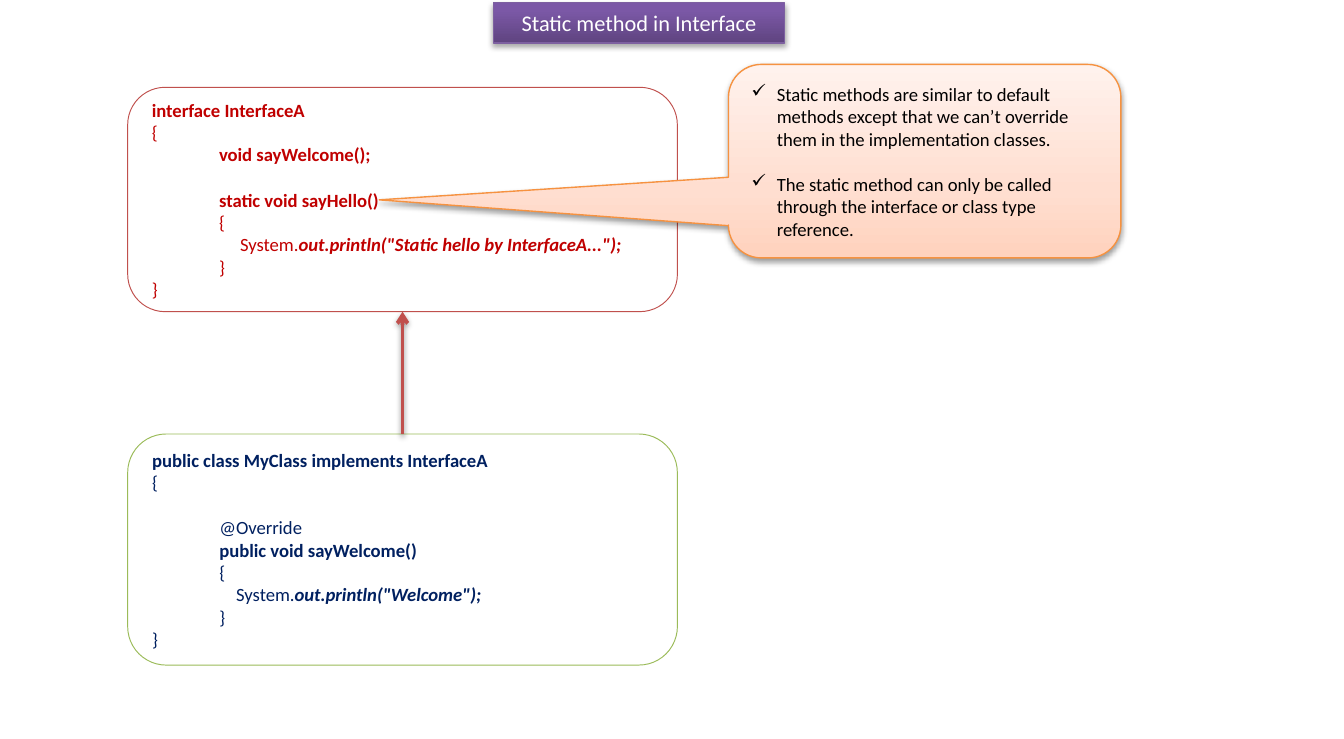
import lxml.etree
import pptx
import pptx.dml.color
import pptx.enum.shapes
import pptx.enum.text
import pptx.oxml.ns
import pptx.util

Inches, Pt = pptx.util.Inches, pptx.util.Pt
SHAPE = pptx.enum.shapes.MSO_SHAPE
ALIGN = pptx.enum.text.PP_ALIGN
ANCHOR = pptx.enum.text.MSO_ANCHOR
qn = pptx.oxml.ns.qn

# Content: code lines are (indent level, line skipped above, runs of (text, style))
TITLE = "Static method in Interface"
INTERFACE_CODE = [
    (0, False, [("interface InterfaceA", "b")]),
    (0, False, [("{", "")]),
    (1, False, [("void sayWelcome();", "b")]),
    (1, True, [("static void sayHello()", "b")]),
    (1, False, [("{", "")]),
    (1, False, [("     System.", ""),
                ('out.println("Static hello by InterfaceA...");', "bi")]),
    (1, False, [("}", "")]),
    (0, False, [("}", "")]),
]
CLASS_CODE = [
    (0, False, [("public class MyClass implements InterfaceA", "b")]),
    (0, False, [("{", "")]),
    (1, True, [("@Override", "")]),
    (1, False, [("public void sayWelcome()", "b")]),
    (1, False, [("{", "")]),
    (1, False, [("    System.", ""), ('out.println("Welcome");', "bi")]),
    (1, False, [("}", "")]),
    (0, False, [("}", "")]),
]
NOTES = [
    "Static methods are similar to default methods except that we can’t "
    "override them in the implementation classes.",
    "The static method can only be called through the interface or class "
    "type reference.",
]

THEME = {
    "font": "Calibri", "title_size": 12, "body_size": 10, "skipped_line": 12.2,
    "paper": "FFFFFF", "title_text": "FFFFFF", "note_text": "000000",
    "interface_text": "C00000", "interface_line": "C0504D",
    "class_text": "002060", "class_line": "9BBB59",
    "title_line": "7D60A0", "note_line": "F69240", "arrow": "C0504D",
    "title_gradient": [(0, "5F4480"), (80, "7B58A6"), (100, "7C57A8")],
    "note_gradient": [(0, "FFD2BD"), (35, "FFDED0"), (100, "FFF2ED")],
}
CODE_LEFT, CODE_WIDTH = 0.95, 4.09


def rgb(name):
    return pptx.dml.color.RGBColor.from_string(THEME[name])


def add_xml(parent, tag, **attributes):
    return lxml.etree.SubElement(parent, qn(tag), attributes)


def add_shadow(properties, alpha, distance):
    effects = properties.find(qn("a:effectLst"))
    if effects is None:
        effects = add_xml(properties, "a:effectLst")
    shadow = add_xml(effects, "a:outerShdw", blurRad=str(Pt(3.1)), dist=str(Pt(distance)),
                     dir="5400000", rotWithShape="0")
    color = add_xml(shadow, "a:srgbClr", val="000000")
    add_xml(color, "a:alpha", val=str(alpha * 1000))


def add_box(slide, kind, place, line, weight, gradient=None):
    box = slide.shapes.add_shape(kind, *map(Inches, place))
    if gradient:
        box.fill.gradient()
        box.fill.gradient_angle = 90
        stops = box._element.spPr.find(".//" + qn("a:gsLst"))
        for stop in list(stops):
            stops.remove(stop)
        for position, color in THEME[gradient]:
            stop = add_xml(stops, "a:gs", pos=str(position * 1000))
            add_xml(stop, "a:srgbClr", val=color)
    else:
        box.fill.solid()
        box.fill.fore_color.rgb = rgb("paper")
    box.line.color.rgb = rgb(line)
    box.line.width = Pt(weight)
    box.shadow.inherit = False
    box.text_frame.word_wrap = True
    box.text_frame.vertical_anchor = ANCHOR.MIDDLE
    return box


def next_paragraph(frame, index):
    return frame.paragraphs[0] if index == 0 else frame.add_paragraph()


def set_font(paragraph, size, color):
    paragraph.font.name = THEME["font"]
    paragraph.font.size = Pt(THEME[size])
    paragraph.font.color.rgb = rgb(color)


def add_code(slide, top, height, code, part):
    box = add_box(slide, SHAPE.ROUNDED_RECTANGLE, (CODE_LEFT, top, CODE_WIDTH, height),
                  part + "_line", 0.5)
    for index, (level, skipped, runs) in enumerate(code):
        line = next_paragraph(box.text_frame, index)
        line.alignment = ALIGN.LEFT
        line._p.get_or_add_pPr().set("marL", str(Inches(0.5 * level)))
        if skipped:
            line.space_before = Pt(THEME["skipped_line"])
        set_font(line, "body_size", part + "_text")
        for text, style in runs:
            run = line.add_run()
            run.text = text
            run.font.bold = "b" in style
            run.font.italic = "i" in style
    return box


def main():
    deck = pptx.Presentation()
    deck.slide_width, deck.slide_height = Inches(10), Inches(5.5)
    slide = deck.slides.add_slide(deck.slide_layouts[6])

    # Interface code
    interface = add_code(slide, 0.65, 1.67, INTERFACE_CODE, "interface")

    # Title
    title = add_box(slide, SHAPE.RECTANGLE, (3.67, 0.02, 2.17, 0.3), "title_line", 0.75,
                    "title_gradient")
    add_shadow(title._element.spPr, 35, 1.8)
    heading = title.text_frame.paragraphs[0]
    heading.text = TITLE
    heading.alignment = ALIGN.CENTER
    set_font(heading, "title_size", "title_text")

    # Implementing class code
    implementation = add_code(slide, 3.23, 1.72, CLASS_CODE, "class")

    # Callout pointing at the static method
    callout = add_box(slide, SHAPE.ROUNDED_RECTANGULAR_CALLOUT, (5.42, 0.48, 2.92, 1.44),
                      "note_line", 0.75, "note_gradient")
    for index, value in enumerate((-1.39, 0.2, 0.17)):
        callout.adjustments[index] = value
    add_shadow(callout._element.spPr, 38, 1.6)
    for index, text in enumerate(NOTES):
        note = next_paragraph(callout.text_frame, index)
        note.text = text
        note.alignment = ALIGN.LEFT
        if index:
            note.space_before = Pt(THEME["skipped_line"])
        properties = note._p.get_or_add_pPr()
        properties.set("marL", str(Inches(0.19)))
        properties.set("indent", str(Inches(-0.19)))
        add_xml(properties, "a:buChar", char="✓")
        set_font(note, "body_size", "note_text")

    # Arrow from the class up to the interface
    arrow = slide.shapes.add_connector(pptx.enum.shapes.MSO_CONNECTOR.STRAIGHT, 0, 0, 0, 0)
    arrow.begin_connect(implementation, 0)
    arrow.end_connect(interface, 2)
    arrow.line.color.rgb = rgb("arrow")
    arrow.line.width = Pt(2)
    add_xml(arrow.line._get_or_add_ln(), "a:tailEnd", type="arrow")
    add_shadow(arrow._element.spPr, 38, 1.6)

    deck.save("out.pptx")


if __name__ == "__main__":
    main()
